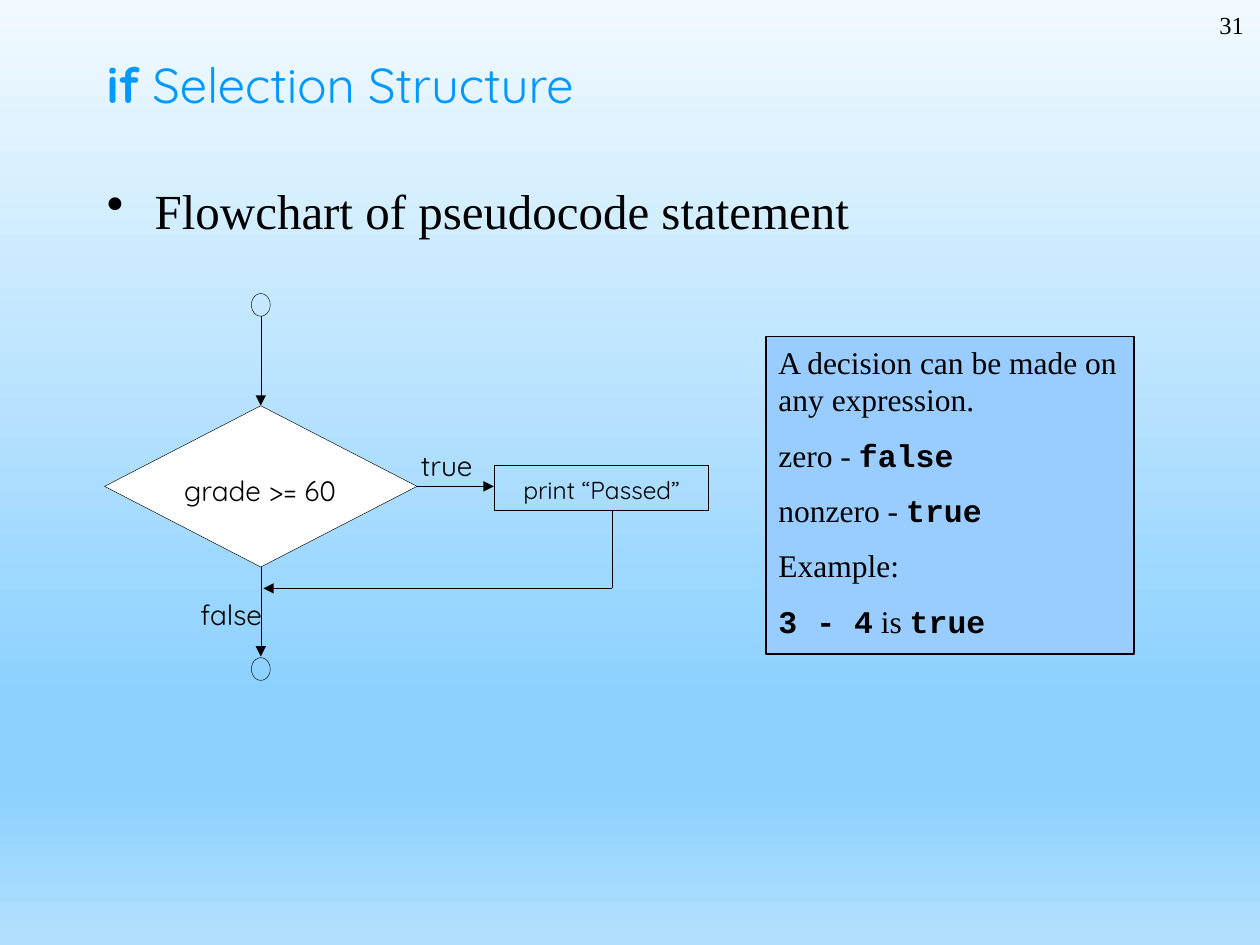
from dataclasses import dataclass

from lxml.etree import SubElement
from pptx import Presentation
from pptx.dml.color import RGBColor
from pptx.enum.shapes import MSO_CONNECTOR as Link, MSO_SHAPE as Preset
from pptx.enum.text import MSO_ANCHOR as Anchor, PP_ALIGN as Align
from pptx.oxml.ns import qn
from pptx.util import Inches, Pt


@dataclass(frozen=True)
class Theme:
    ink: str = "000000"
    accent: str = "0099FF"
    paper: str = "FFFFFF"
    panel: str = "99CCFF"
    sky: tuple = ((0, "F2FAFF"), (74, "8CD1FF"), (83, "8CD1FF"), (100, "B3E0FF"))
    sans: str = "Quicksand"
    serif: str = "Times New Roman"
    mono: str = "Courier New"
    heading: int = 28
    note: int = 18
    label: int = 16
    small: int = 14
    thin: float = 0.25
    border: float = 0.75


class SlideBuilder:
    def __init__(self, slide, theme):
        self.slide = slide
        self.theme = theme

    def background(self):
        fill = self.slide.background.fill
        fill.gradient()
        fill.gradient_angle = 270
        stops = self.slide.background._cSld.find(".//" + qn("a:gsLst"))
        for stop in list(stops):
            stops.remove(stop)
        for percent, color in self.theme.sky:
            stop = SubElement(stops, qn("a:gs"), pos=str(percent * 1000))
            SubElement(stop, qn("a:srgbClr"), val=color)

    def fill_text(self, frame, paragraphs, size, color=None, align=Align.LEFT, gap=0, bullet=None):
        """Fill a frame; each paragraph is a list of (text, font, bold) runs."""
        frame.word_wrap = True
        for index, runs in enumerate(paragraphs):
            paragraph = frame.add_paragraph() if index else frame.paragraphs[0]
            paragraph.alignment = align
            if index:
                paragraph.space_before = Pt(gap)
            if bullet:
                properties = paragraph._p.get_or_add_pPr()
                indent = Inches(0.38)
                properties.set("marL", str(indent))
                properties.set("indent", str(-indent))
                SubElement(properties, qn("a:buChar"), char=bullet)
            for text, font, bold in runs:
                run = paragraph.add_run()
                run.text = text
                style = {"name": font, "bold": bold, "size": Pt(size)}
                for key, value in style.items():
                    setattr(run.font, key, value)
                run.font.color.rgb = RGBColor.from_string(color or self.theme.ink)

    def text(self, box, paragraphs, size, inset=(0.1, 0.05), anchor=Anchor.TOP, **style):
        frame = self.slide.shapes.add_textbox(*map(Inches, box)).text_frame
        across, down = map(Inches, inset)
        layout = {"margin_left": across, "margin_right": across, "margin_top": down,
                  "margin_bottom": down, "vertical_anchor": anchor}
        for key, value in layout.items():
            setattr(frame, key, value)
        self.fill_text(frame, paragraphs, size, **style)

    def label(self, box, words, size, align=Align.LEFT):
        self.text(box, [[(words, self.theme.sans, False)]], size, inset=(0, 0), align=align)

    def shape(self, preset, box, fill=None, width=None):
        shape = self.slide.shapes.add_shape(preset, *map(Inches, box))
        shape.shadow.inherit = False
        if fill:
            shape.fill.solid()
            shape.fill.fore_color.rgb = RGBColor.from_string(fill)
        else:
            shape.fill.background()
        shape.line.color.rgb = RGBColor.from_string(self.theme.ink)
        shape.line.width = Pt(width or self.theme.thin)
        return shape

    def flow(self, start, end, arrow=True):
        link = self.slide.shapes.add_connector(Link.STRAIGHT, *map(Inches, (*start, *end)))
        link.line.color.rgb = RGBColor.from_string(self.theme.ink)
        link.line.width = Pt(self.theme.thin)
        properties = link._element.spPr
        if arrow:
            SubElement(properties.find(qn("a:ln")), qn("a:tailEnd"), type="triangle")
        SubElement(properties, qn("a:effectLst"))


def draw_flowchart(builder):
    theme = builder.theme
    axis, middle, merge = 2.07, 3.86, 4.67
    half_width, half_height = 1.24, 0.64
    top, bottom = middle - half_height, middle + half_height
    action_left, action_top, action_width, action_height = 3.92, 3.69, 1.7, 0.36
    action_bottom, turn = action_top + action_height, 4.86
    terminal_width, terminal_height = 0.15, 0.18

    builder.flow((axis, 2.51), (axis, top))
    builder.flow((axis, bottom), (axis, 5.21))
    for terminal_top in (2.33, 5.22):
        builder.shape(Preset.OVAL, (axis - terminal_width / 2, terminal_top,
                                    terminal_width, terminal_height))
    builder.flow((axis + half_width, middle), (action_left, middle))
    builder.flow((turn, action_bottom), (turn, merge), arrow=False)
    builder.flow((turn, merge), (axis + 0.02, merge))

    builder.shape(Preset.DIAMOND, (axis - half_width, top, 2 * half_width, 2 * half_height),
                  fill=theme.paper)
    builder.shape(Preset.RECTANGLE, (action_left, action_top, action_width, action_height))
    builder.label((3.34, 3.56, 0.55, 0.36), "true", theme.label)
    builder.label((1.59, 4.74, 0.67, 0.36), "false", theme.label)
    builder.label((1.37, 3.76, 1.39, 0.27), "grade >= 60", theme.label, Align.CENTER)
    builder.label((4.03, 3.77, 1.49, 0.25), "print “Passed”", theme.small, Align.CENTER)


def draw_note(builder):
    theme = builder.theme

    def plain(words):
        return words, theme.serif, False

    def code(words):
        return words, theme.mono, True

    panel = builder.shape(Preset.RECTANGLE, (6.08, 2.67, 2.92, 2.52), theme.panel, theme.border)
    panel.text_frame.vertical_anchor = Anchor.TOP
    builder.fill_text(panel.text_frame, [
        [plain("A decision can be made on any expression.")],
        [plain("zero - "), code("false")],
        [plain("nonzero - "), code("true")],
        [plain("Example:")],
        [code("3 - 4"), plain(" is "), code("true")],
    ], theme.note, gap=10)


def main():
    deck = Presentation()
    deck.slide_width, deck.slide_height = Inches(10), Inches(7.5)
    theme = Theme()
    builder = SlideBuilder(deck.slides.add_slide(deck.slide_layouts[6]), theme)
    builder.background()
    builder.text((7.89, 0.03, 2.08, 0.5), [[("31", theme.serif, False)]],
                 theme.small, align=Align.RIGHT)
    builder.text((0.75, 0.08, 8.5, 1.17),
                 [[("if ", theme.sans, True), ("Selection Structure", theme.sans, False)]],
                 theme.heading, color=theme.accent, anchor=Anchor.MIDDLE)
    builder.text((0.75, 1.33, 8.5, 5.75),
                 [[("Flowchart of pseudocode statement", theme.serif, False)]],
                 theme.heading, inset=(0.1, 0.1), bullet="•")
    draw_flowchart(builder)
    draw_note(builder)
    deck.save("out.pptx")


if __name__ == "__main__":
    main()
